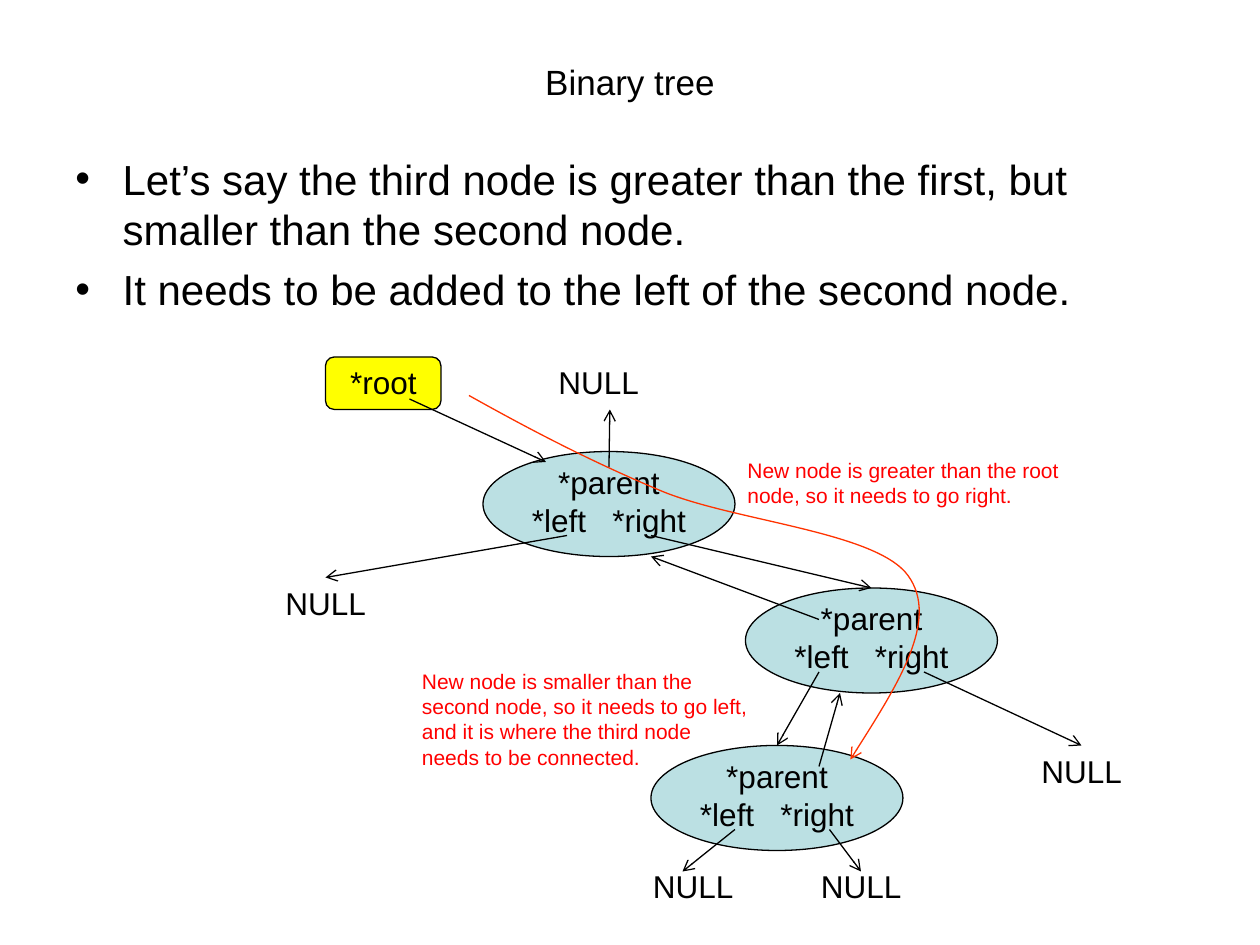
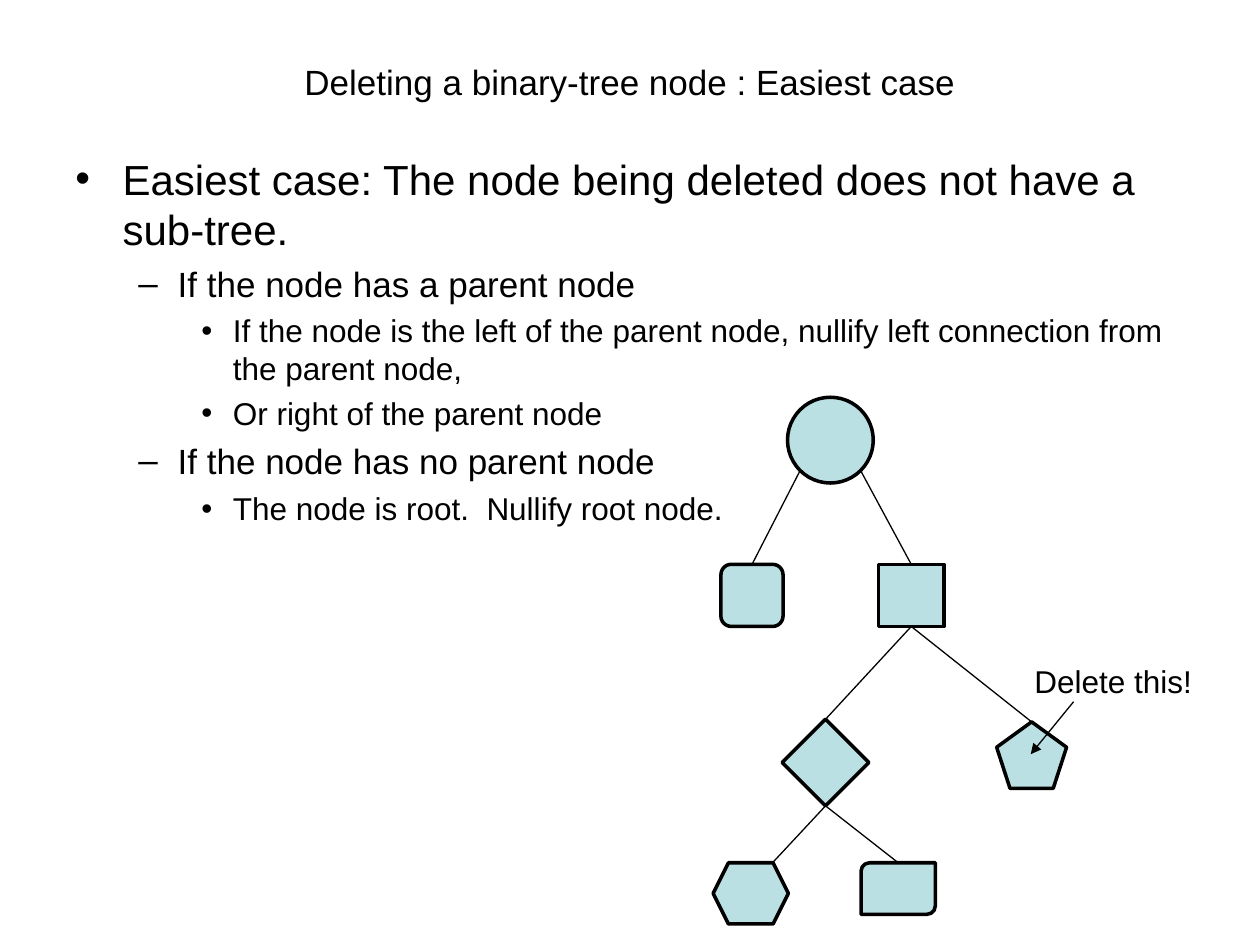
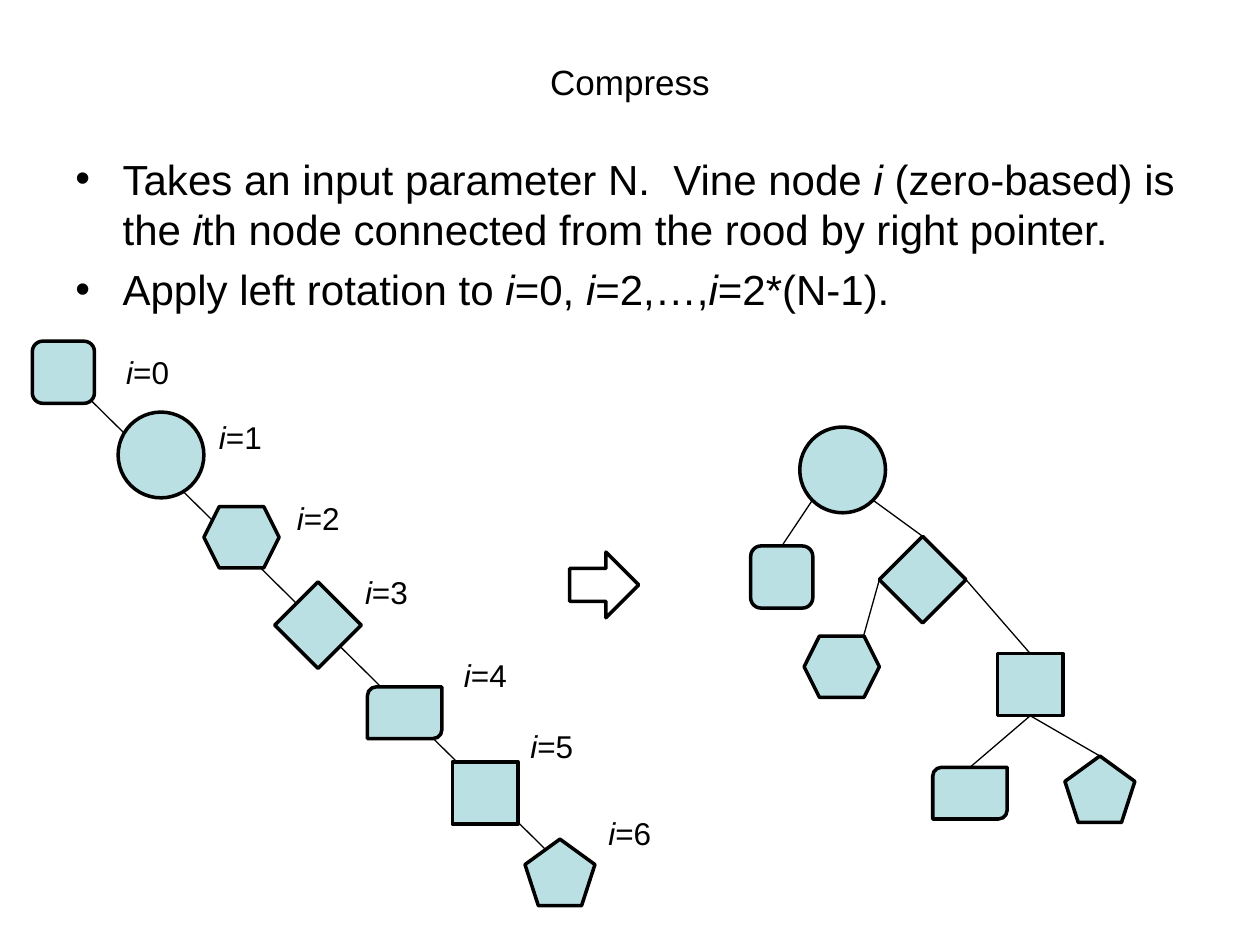
from pptx import Presentation
from pptx.dml.color import RGBColor
from pptx.enum.shapes import MSO_CONNECTOR, MSO_SHAPE
from pptx.enum.text import MSO_ANCHOR, MSO_AUTO_SIZE, PP_ALIGN
from pptx.oxml.ns import qn
from pptx.oxml.xmlchemy import OxmlElement
from pptx.util import Pt

COLORS = {"ink": "000000", "node": "BBE0E3", "root": "FFFF00",
          "note": "FF0000", "route": "FF3300"}
FONT = "Arial"
THIN, THICK = 0.75, 2

# Per outline level: text size, left margin, hanging indent, bullet
LEVELS = [(24, 27, -27, "•"), (20, 58.5, -22.5, "–"), (18, 90, -18, "•")]

# Per kind of node: preset shape, width, height
NODES = {
    "circle": (MSO_SHAPE.OVAL, 49, 49),
    "square": (MSO_SHAPE.RECTANGLE, 37.5, 35.5),
    "rounded": (MSO_SHAPE.ROUNDED_RECTANGLE, 35.5, 35.5),
    "diamond": (MSO_SHAPE.DIAMOND, 49.5, 49.5),
    "pentagon": (MSO_SHAPE.REGULAR_PENTAGON, 40, 38),
    "hexagon": (MSO_SHAPE.HEXAGON, 43, 35),
    "diagonal": (MSO_SHAPE.ROUND_2_DIAG_RECTANGLE, 42.5, 29.5),
}

# Sides that a connector can be joined to, and spots it can only touch
TOP, LEFT, BOTTOM, RIGHT = range(4)
SPOTS = {"lower left": (0.15, 0.85), "lower right": (0.85, 0.85),
         "upper corner": (0.79, 0), "upper middle": (0.5, 0)}


def color(name):
    return RGBColor.from_string(COLORS[name])


def apply(target, **values):
    for name, value in values.items():
        setattr(target, name, value)


def add_element(parent, tag, **attributes):
    element = OxmlElement(tag)
    for name, value in attributes.items():
        element.set(name, value)
    parent.append(element)


class Slides:
    def __init__(self):
        self.deck = Presentation()
        apply(self.deck, slide_width=Pt(720), slide_height=Pt(540))
        self.page = None

    def start(self, title, outline):
        """Add a page with its title and its (level, text) outline."""
        self.page = self.deck.slides.add_slide(self.deck.slide_layouts[6])
        heading = self.text(title, 36, 21.6, 648, 50.4, size=20, align=PP_ALIGN.CENTER, grow=False)
        heading.text_frame.vertical_anchor = MSO_ANCHOR.MIDDLE
        self.outline(outline)

    def spans(self, para, text, size, ink="ink"):
        """Fill a paragraph; text between underscores is italic."""
        for index, part in enumerate(text.split("_")):
            if part:
                span = para.add_run()
                span.text = part
                apply(span.font, name=FONT, size=Pt(size), italic=index % 2 == 1)
                span.font.color.rgb = color(ink)

    def text(self, text, left, top, width, height, size=18, ink="ink",
             align=PP_ALIGN.LEFT, wrap=True, grow=True):
        box = self.page.shapes.add_textbox(Pt(left), Pt(top), Pt(width), Pt(height))
        frame = box.text_frame
        fit = MSO_AUTO_SIZE.SHAPE_TO_FIT_TEXT if grow else MSO_AUTO_SIZE.NONE
        apply(frame, word_wrap=wrap, auto_size=fit)
        for index, line in enumerate(text.split("\n")):
            para = frame.add_paragraph() if index else frame.paragraphs[0]
            para.alignment = align
            self.spans(para, line, size, ink)
        return box

    def outline(self, items):
        box = self.page.shapes.add_textbox(Pt(36), Pt(84), Pt(648), Pt(398))
        frame = box.text_frame
        frame.word_wrap = True
        for index, (level, text) in enumerate(items):
            size, margin, indent, bullet = LEVELS[level]
            para = frame.add_paragraph() if index else frame.paragraphs[0]
            apply(para, level=level, space_before=Pt(0.23 * size))
            properties = para._p.get_or_add_pPr()
            properties.set("marL", str(Pt(margin)))
            properties.set("indent", str(Pt(indent)))
            add_element(properties, "a:buFont", typeface=FONT)
            add_element(properties, "a:buChar", char=bullet)
            self.spans(para, text, size)

    def stroke(self, shape, ink, width, tip=None):
        shape.line.color.rgb = color(ink)
        shape.line.width = Pt(width)
        if tip:
            add_element(shape._element.spPr.get_or_add_ln(), "a:tailEnd", type=tip)

    def shape(self, preset, left, top, width, height, fill="node", line=THICK):
        box = self.page.shapes.add_shape(preset, Pt(left), Pt(top), Pt(width), Pt(height))
        box.shadow.inherit = False
        if fill:
            box.fill.solid()
            box.fill.fore_color.rgb = color(fill)
        else:
            box.fill.background()
        self.stroke(box, "ink", line)
        return box

    def nodes(self, places):
        """Draw one node per kind and return the shapes by kind."""
        shapes = {}
        for kind, (left, top) in places.items():
            preset, width, height = NODES[kind]
            shapes[kind] = self.shape(preset, left, top, width, height)
        return shapes

    def pointer_node(self, left, top):
        """Draw an ellipse that lists the pointers of a tree node."""
        box = self.shape(MSO_SHAPE.OVAL, left, top, 144, 60, line=THIN)
        self.text("*parent\n*left   *right", left + 12, top + 3, 120, 51, align=PP_ALIGN.CENTER)
        return box

    def edge(self, start, end, tip=None):
        """Draw a line; an end is a point in points, (shape, side) or (shape, spot)."""
        line = self.page.shapes.add_connector(MSO_CONNECTOR.STRAIGHT, *locate(start), *locate(end))
        for (target, side), join in ((start, line.begin_connect), (end, line.end_connect)):
            if hasattr(target, "shape_id") and side not in SPOTS:
                join(target, side)
        self.stroke(line, "ink", THIN, tip)
        add_element(line._element.spPr, "a:effectLst")

    def tree(self, shapes, edges):
        for parent, leaving, child, arriving in edges:
            self.edge((shapes[parent], leaving), (shapes[child], arriving))

    def curve(self, points, ink, tip):
        """Draw cubic curves through a start point and groups of three points."""
        start, *controls = [(Pt(x), Pt(y)) for x, y in points]
        builder = self.page.shapes.build_freeform(*start)
        builder.add_line_segments(controls, close=False)
        shape = builder.convert_to_shape()
        shape.shadow.inherit = False
        shape.fill.background()
        segments = shape._element.findall(".//" + qn("a:lnTo"))
        for index in range(0, len(segments), 3):
            first, *others = segments[index:index + 3]
            first.tag = qn("a:cubicBezTo")
            for segment in others:
                first.append(segment[0])
                segment.getparent().remove(segment)
        self.stroke(shape, ink, THIN, tip)


def locate(end):
    """Give the position of a line's end on the page."""
    target, place = end
    if not hasattr(target, "shape_id"):
        return Pt(target), Pt(place)
    across, down = SPOTS.get(place, (0.5, 0.5))
    return (int(target.left + across * target.width),
            int(target.top + down * target.height))


def insertion_page(slides):
    slides.start("Binary tree", [
        (0, "Let’s say the third node is greater than the first, but smaller than the second node."),
        (0, "It needs to be added to the left of the second node."),
    ])
    third = slides.pointer_node(372, 426)
    slides.pointer_node(276, 258)
    second = slides.pointer_node(426, 336)
    slides.shape(MSO_SHAPE.ROUNDED_RECTANGLE, 186, 204, 66, 30, "root", THIN)
    slides.text("*root", 193, 204, 52.5, 29, wrap=False)
    for left, top in [(366, 492), (462, 492), (312, 204), (156, 330), (588, 426)]:
        slides.text("NULL", left, top, 72, 30)
    for start, end in [
        ((234, 228), (312, 264)),
        ((348, 267), (348.5, 234)),
        ((324, 306), (186, 330)),
        ((372, 306), (second, TOP)),
        ((468, 354), (372, 318)),
        ((468, 384), (third, TOP)),
        ((528, 384), (618, 426)),
        ((468, 438), (480, 396)),
        ((420, 474), (390, 498)),
        ((474, 474), (492, 498)),
    ]:
        slides.edge(start, end, "arrow")
    slides.curve([(268, 226), (302, 245), (337, 263.5), (379, 281), (421, 298),
                  (501, 304), (519, 329), (537, 354), (511, 394.5), (486, 434)],
                 "route", "arrow")
    slides.text("New node is greater than the root node, so it needs to go right.",
                420, 258, 204, 37, size=12, ink="note")
    slides.text("New node is smaller than the second node, so it needs to go left, "
                "and it is where the third node needs to be connected.",
                234, 378.5, 204, 65.5, size=12, ink="note")


def deletion_page(slides):
    slides.start("Deleting a binary-tree node : Easiest case", [
        (0, "Easiest case: The node being deleted does not have a sub-tree."),
        (1, "If the node has a parent node"),
        (2, "If the node is the left of the parent node, nullify left connection from the parent node,"),
        (2, "Or right of the parent node"),
        (1, "If the node has no parent node"),
        (2, "The node is root.  Nullify root node."),
    ])
    shapes = slides.nodes({
        "circle": (450, 227), "square": (502, 322.5), "rounded": (412, 322.5),
        "diamond": (447, 411), "pentagon": (569.5, 412.5),
        "hexagon": (407.5, 493), "diagonal": (492, 493),
    })
    slides.tree(shapes, [
        ("circle", "lower left", "rounded", TOP),
        ("circle", "lower right", "square", TOP),
        ("square", BOTTOM, "diamond", TOP),
        ("square", BOTTOM, "pentagon", TOP),
        ("diamond", BOTTOM, "hexagon", "upper corner"),
        ("diamond", BOTTOM, "diagonal", "upper middle"),
    ])
    slides.text("Delete this!", 584, 374.5, 119, 29)
    slides.edge((613.5, 401), (589, 431), "triangle")


def compression_page(slides):
    slides.start("Compress", [
        (0, "Takes an input parameter N.  Vine node _i_ (zero-based) is the _i_th node "
            "connected from the rood by right pointer."),
        (0, "Apply left rotation to _i_=0, _i_=2,…,_i_=2*(N-1)."),
    ])
    slides.edge((36, 213), (325.5, 499))
    slides.nodes({
        "circle": (67.5, 235.5), "square": (258.5, 435.5), "rounded": (18.5, 195),
        "diamond": (157, 332.5), "pentagon": (300, 479.5),
        "hexagon": (116.5, 289.5), "diagonal": (210, 392.5),
    })
    labels = [(65, 198), (118, 235.5), (162.5, 281.5), (201.5, 324),
              (258, 371.5), (296, 412), (340.5, 461.5)]
    for index, (left, top) in enumerate(labels):
        slides.text(f"_i_={index}", left, top, 39.5, 29, wrap=False)
    slides.shape(MSO_SHAPE.RIGHT_ARROW, 325.5, 315.5, 39.5, 37.5, fill=None)
    shapes = slides.nodes({
        "circle": (457, 244), "square": (570, 373.5), "rounded": (429, 312),
        "diamond": (502.5, 306.5), "pentagon": (608.5, 432),
        "hexagon": (459.5, 363.5), "diagonal": (533, 438.5),
    })
    slides.tree(shapes, [
        ("circle", "lower left", "rounded", TOP),
        ("circle", "lower right", "diamond", TOP),
        ("diamond", LEFT, "hexagon", "upper corner"),
        ("diamond", RIGHT, "square", TOP),
        ("square", BOTTOM, "diagonal", "upper middle"),
        ("square", BOTTOM, "pentagon", TOP),
    ])


def main():
    slides = Slides()
    insertion_page(slides)
    deletion_page(slides)
    compression_page(slides)
    slides.deck.save("out.pptx")


if __name__ == "__main__":
    main()
